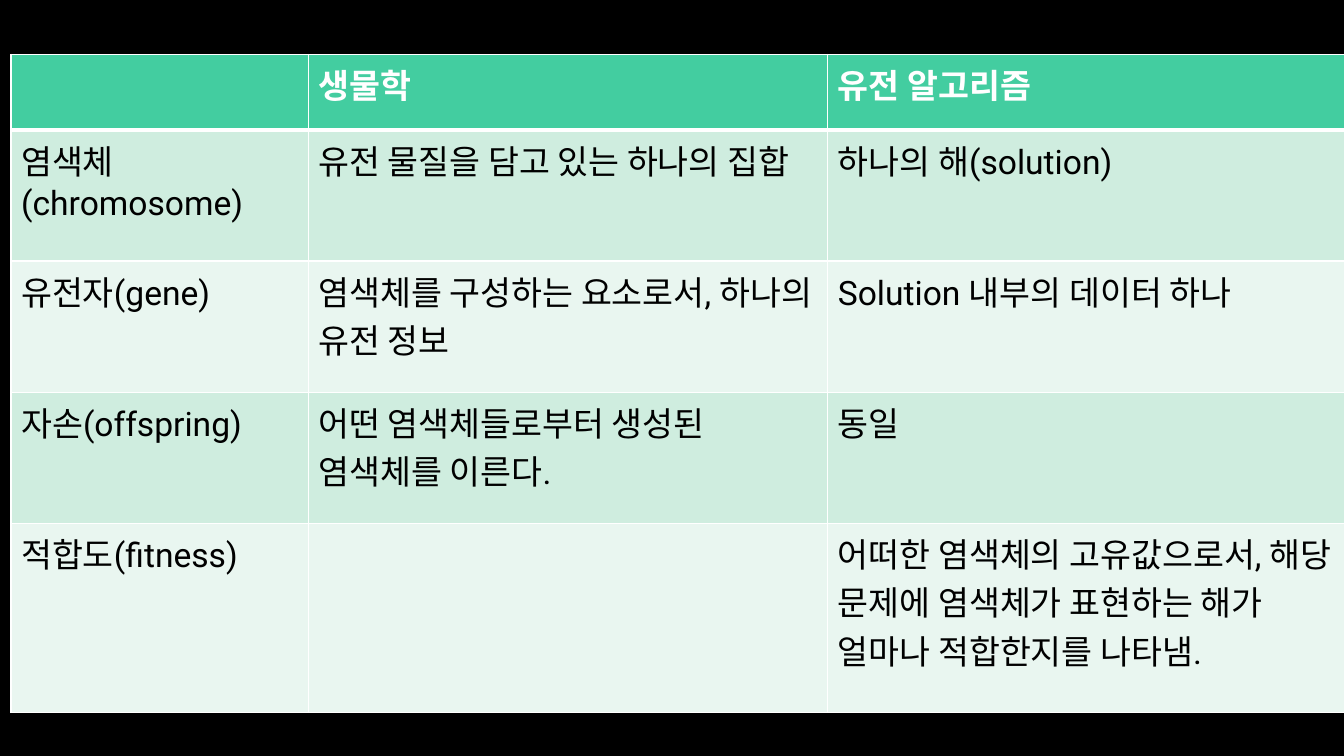
from dataclasses import dataclass

from lxml.etree import SubElement
from pptx import Presentation
from pptx.dml.color import RGBColor
from pptx.oxml.ns import qn
from pptx.util import Inches, Pt


@dataclass(frozen=True)
class Theme:
    background: str = "000000"
    header: str = "43CDA0"
    bands: tuple = ("E9F6F0", "CFEDDF")
    border: str = "FFFFFF"
    header_text: str = "FFFFFF"
    body_text: str = "000000"
    font: str = "Roboto"
    size: int = 24


theme = Theme()


def write_text(frame, text, *, color, bold=False):
    run = frame.paragraphs[0].add_run()
    run.text = text
    run.font.name = theme.font
    run.font.size = Pt(theme.size)
    run.font.bold = bold
    run.font.color.rgb = RGBColor.from_string(color)


def draw_border(cell, side, width):
    line = SubElement(cell._tc.get_or_add_tcPr(), qn(f"a:ln{side}"), w=str(Pt(width)))
    fill = SubElement(line, qn("a:solidFill"))
    SubElement(fill, qn("a:srgbClr"), val=theme.border)


# Slide on a black background
deck = Presentation()
deck.slide_width, deck.slide_height = Inches(13.33), Inches(7.5)
slide = deck.slides.add_slide(deck.slide_layouts[6])
slide.background.fill.solid()
slide.background.fill.fore_color.rgb = RGBColor.from_string(theme.background)

# Terms compared: biology against the genetic algorithm
comparison = [
    ("", "생물학", "유전 알고리즘"),
    ("염색체(chromosome)", "유전 물질을 담고 있는 하나의 집합", "하나의 해(solution)"),
    ("유전자(gene)", "염색체를 구성하는 요소로서, 하나의 유전 정보", "Solution 내부의 데이터 하나"),
    ("자손(offspring)", "어떤 염색체들로부터 생성된 염색체를 이른다.", "동일"),
    ("적합도(fitness)", "",
     "어떠한 염색체의 고유값으로서, 해당 문제에 염색체가 표현하는 해가 얼마나 적합한지를 나타냄."),
]
column_widths = [2.95, 5.15, 5.13]
row_heights = [0.75, 1.3, 1.3, 1.3, 1.88]

# Table grid
table = slide.shapes.add_table(
    len(row_heights), len(column_widths), Inches(0.11), Inches(0.54),
    Inches(sum(column_widths)), Inches(sum(row_heights))).table
for column, width in zip(table.columns, column_widths):
    column.width = Inches(width)
for row, height in zip(table.rows, row_heights):
    row.height = Inches(height)

# Cells: a heavier rule under the header, then alternating bands
for row_index, terms in enumerate(comparison):
    is_header = row_index == 0
    border_widths = {"L": 1, "R": 1, "T": 3 if row_index == 1 else 1, "B": 3 if is_header else 1}
    for column_index, term in enumerate(terms):
        cell = table.cell(row_index, column_index)
        for side, width in border_widths.items():
            draw_border(cell, side, width)
        cell.fill.solid()
        cell.fill.fore_color.rgb = RGBColor.from_string(
            theme.header if is_header else theme.bands[row_index % 2])
        if term:
            write_text(cell.text_frame, term, bold=is_header,
                       color=theme.header_text if is_header else theme.body_text)

deck.save("out.pptx")
